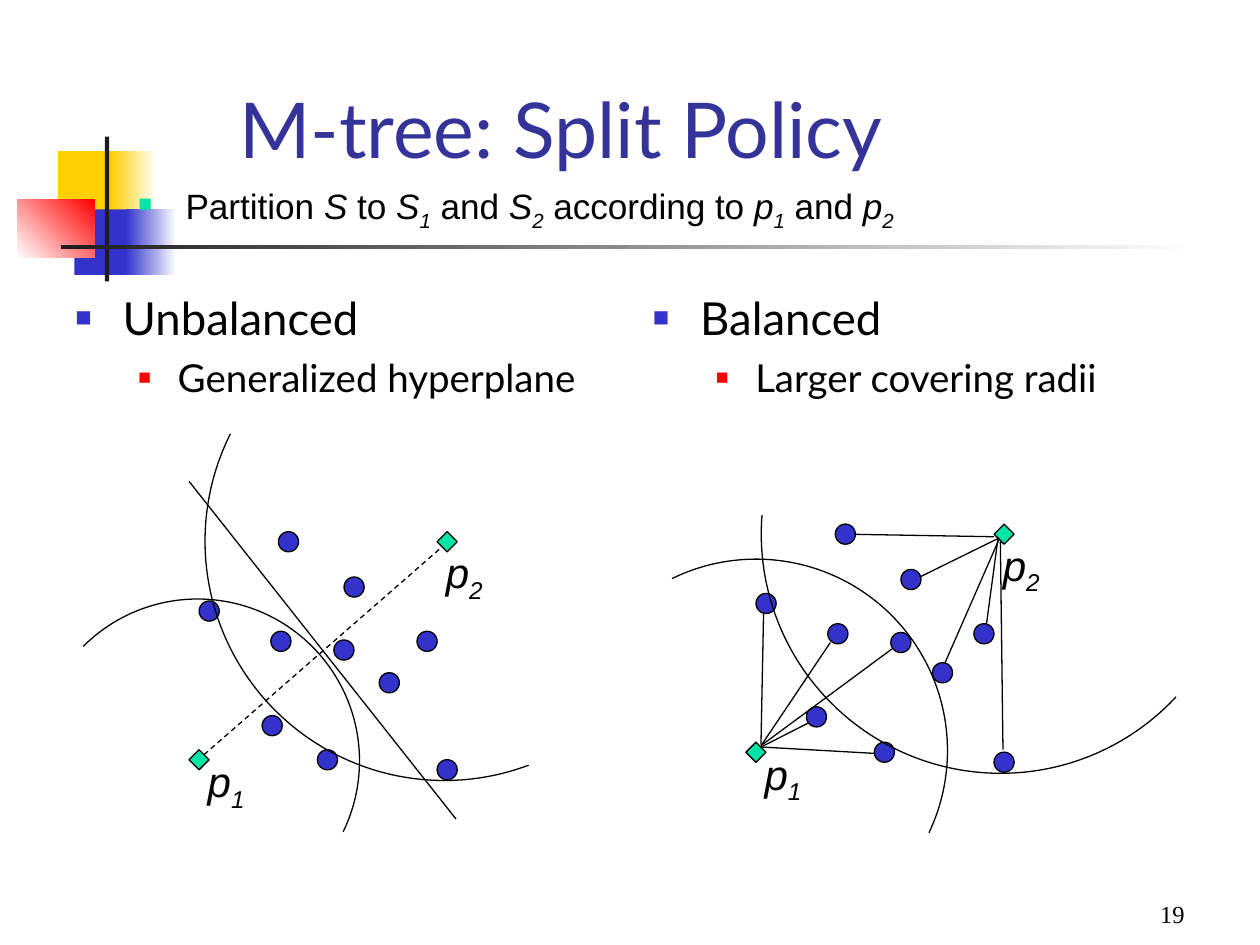
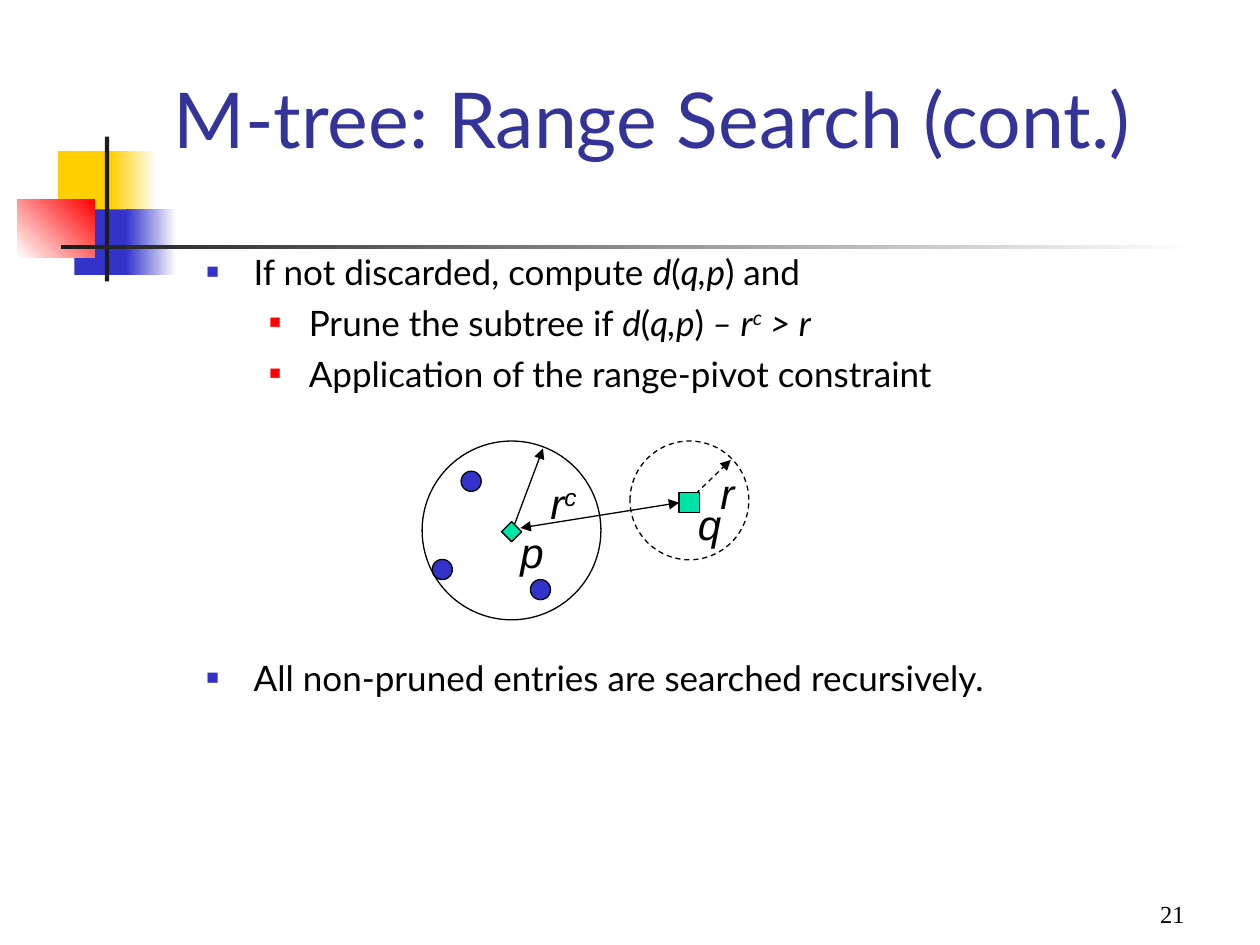
from dataclasses import dataclass

from lxml import etree
from pptx import Presentation
from pptx import util as u
from pptx.dml import color
from pptx.enum import dml, shapes, text
from pptx.oxml import ns


@dataclass(frozen=True)
class Theme:
    """Colours, fonts and type sizes shared by all pages."""

    black: str = "000000"
    white: str = "FFFFFF"
    ink: str = "1C1C1C"
    title: str = "333399"
    blue: str = "3333CC"
    yellow: str = "FFCF01"
    red: str = "FF0000"
    green: str = "00E4A8"
    sans: str = "Lato"
    plain: str = "Arial"
    serif: str = "Times New Roman"
    title_size: float = 44
    head_size: float = 26
    sub_size: float = 22
    body_size: float = 20
    lead_size: float = 20.1
    label_size: float = 24
    number_size: float = 14
    hairline: float = 0.75
    node: float = 11.5


THEME = Theme()
KIND = shapes.MSO_SHAPE
LEVELS = (
    {"margin": 27, "indent": -27, "color": THEME.blue, "size": 60},
    {"margin": 58.5, "indent": -22.5, "color": THEME.red, "size": 55},
)
LEAD_BULLET = {"margin": 27, "indent": -27, "color": THEME.green, "size": 65}
BASELINES = {"sub": "-25000", "sup": "30000"}


def rgb(value):
    """Turn a hex string into a colour."""
    return color.RGBColor.from_string(value)


def assign(target, **values):
    """Set every given attribute on the target."""
    for name, value in values.items():
        setattr(target, name, value)


def points(values):
    """Turn numbers into lengths in points."""
    return [u.Pt(value) for value in values]


def outline(line, dashed=False):
    """Give a line the thin black stroke."""
    line.color.rgb = rgb(THEME.black)
    line.width = u.Pt(THEME.hairline)
    if dashed:
        line.dash_style = dml.MSO_LINE.DASH


def add_figure(page, kind, box, fill=None, stroke=True, dashed=False):
    """Add a preset shape with a solid, gradient or empty fill."""
    figure = page.shapes.add_shape(kind, *points(box))
    figure.shadow.inherit = False
    if fill is None:
        figure.fill.background()
    elif isinstance(fill, str):
        figure.fill.solid()
        figure.fill.fore_color.rgb = rgb(fill)
    else:
        start, end, angle = fill
        figure.fill.gradient()
        figure.fill.gradient_angle = angle
        for stop, shade in zip(figure.fill.gradient_stops, (start, end)):
            stop.color.rgb = rgb(shade)
    if stroke:
        outline(figure.line, dashed)
    else:
        figure.line.fill.background()
    return figure


def add_line(page, origin, ends, dashed=False, arrows=()):
    """Add a straight connector between two points relative to the origin."""
    left, top = origin
    x1, y1, x2, y2 = ends
    line = page.shapes.add_connector(
        shapes.MSO_CONNECTOR.STRAIGHT, *points((left + x1, top + y1, left + x2, top + y2)))
    outline(line.line, dashed)
    stroke = line.line._get_or_add_ln()
    for arrow in arrows:
        etree.SubElement(stroke, ns.qn(f"a:{arrow}"), type="triangle")
    etree.SubElement(line._element.spPr, ns.qn("a:effectLst"))
    return line


def add_bullet(para, margin, indent, color, size):
    """Give a paragraph a hanging square bullet."""
    properties = para._p.get_or_add_pPr()
    properties.set("marL", str(u.Pt(margin)))
    properties.set("indent", str(u.Pt(indent)))
    shade = etree.SubElement(properties, ns.qn("a:buClr"))
    etree.SubElement(shade, ns.qn("a:srgbClr"), val=color)
    etree.SubElement(properties, ns.qn("a:buSzPct"), val=str(size * 1000))
    etree.SubElement(properties, ns.qn("a:buFont"), typeface=THEME.plain)
    etree.SubElement(properties, ns.qn("a:buChar"), char="■")


def fill_para(para, spans, font, size, shade=THEME.black, bullet=None, **spacing):
    """Write (text, style) spans; styles are plain, i, sub and sup."""
    assign(para, **spacing)
    if bullet:
        add_bullet(para, **bullet)
    for words, style in spans:
        span = para.add_run()
        span.text = words
        assign(span.font, name=font, size=u.Pt(size), italic=style != "")
        span.font.color.rgb = rgb(shade)
        if style in BASELINES:
            span._r.get_or_add_rPr().set("baseline", BASELINES[style])


def add_text(page, box, paras, **frame_format):
    """Add a text box holding one paragraph per format dict."""
    frame = page.shapes.add_textbox(*points(box)).text_frame
    assign(frame, **{"word_wrap": True, **frame_format})
    for index, para_format in enumerate(paras):
        para = frame.add_paragraph() if index else frame.paragraphs[0]
        fill_para(para, **para_format)


def add_label(page, origin, spot, spans, width):
    """Add an italic symbol beside a node."""
    box = (origin[0] + spot[0], origin[1] + spot[1], width, 36)
    add_text(page, box, [{"spans": spans, "font": THEME.plain, "size": THEME.label_size}],
             word_wrap=False, auto_size=text.MSO_AUTO_SIZE.SHAPE_TO_FIT_TEXT)


def add_node(page, origin, spot, kind=KIND.OVAL, fill=THEME.blue):
    """Add a small marker at a spot relative to the origin."""
    box = (origin[0] + spot[0], origin[1] + spot[1], THEME.node, THEME.node)
    return add_figure(page, kind, box, fill)


def add_arc(page, origin, centre, radius, start, end):
    """Add a clockwise arc around a centre, with angles in degrees."""
    box = (origin[0] + centre[0] - radius, origin[1] + centre[1] - radius, 2 * radius, 2 * radius)
    arc = add_figure(page, KIND.ARC, box)
    for index, angle in enumerate((start, end)):
        arc.adjustments[index] = angle * 0.6


def draw_frame(page, title, title_box, number):
    """Draw the corner blocks, rules, title and page number."""
    blocks = (
        ((33.1, 86.4, 34.5, 37.4), THEME.yellow),
        ((63.4, 86.4, 25.9, 37.4), (THEME.yellow, THEME.white, 0)),
        ((42.5, 119.7, 33.1, 37.4), THEME.blue),
        ((72, 119.7, 28.8, 37.4), (THEME.blue, THEME.white, 0)),
        ((10, 113.8, 44, 33.1), (THEME.white, THEME.red, 45)),
        ((59.9, 78, 2.5, 82.8), THEME.ink),
        ((34.8, 140, 648, 2.5), (THEME.ink, THEME.white, 0)),
    )
    for box, fill in blocks:
        add_figure(page, KIND.RECTANGLE, box, fill, stroke=False)
    add_text(page, (534, 498.2, 150, 36),
             [{"spans": [(number, "")], "font": THEME.serif, "size": THEME.number_size,
               "alignment": text.PP_ALIGN.RIGHT}], vertical_anchor=text.MSO_ANCHOR.BOTTOM)
    add_text(page, title_box,
             [{"spans": [(title, "")], "font": THEME.sans, "size": THEME.title_size,
               "shade": THEME.title}], vertical_anchor=text.MSO_ANCHOR.BOTTOM)


def draw_policy(page, box, heading, detail):
    """Write one split policy and its effect."""
    rows = ((heading, THEME.head_size, 6.5), (detail, THEME.sub_size, 5.5))
    add_text(page, box, [
        {"spans": [(words, "")], "font": THEME.sans, "size": size,
         "bullet": bullet, "space_before": u.Pt(gap)}
        for (words, size, gap), bullet in zip(rows, LEVELS)])


def draw_partition(page, origin, moved_objects, lines, arcs):
    """Draw the ten objects, two pivots, lines and covering arcs."""
    objects = (
        (88.6, 25.9), (46.8, 56.9), (73.4, 124.6), (141.8, 130.3),
        (130.3, 56.9), (51.1, 0), (5.8, 39.6), (82.8, 61.9), *moved_objects,
    )
    pivots = (("1", (0, 124.6), (3.6, 124.6)), ("2", (141.8, 0), (139.7, 5)))
    for spot in objects:
        add_node(page, origin, spot)
    for index, spot, label_spot in pivots:
        add_node(page, origin, spot, KIND.DIAMOND, THEME.green)
        add_label(page, origin, label_spot, [("p", "i"), (index, "sub")], 35.3)
    for ends, dashed in lines:
        add_line(page, origin, ends, dashed)
    for arc in arcs:
        add_arc(page, origin, *arc)


def draw_split_page(page):
    """Compare the unbalanced and balanced split policies."""
    draw_frame(page, "M-tree: Split Policy", (129.6, 13, 613.4, 90), "19")
    draw_policy(page, (36, 162, 318, 320.4), "Unbalanced", "Generalized hyperplane")
    draw_policy(page, (366, 162, 318, 320.4), "Balanced", "Larger covering radii")
    hyperplane = (((8.6, 127.4, 144.7, 8.6), True), ((0, -28.8, 152.6, 164.2), False))
    spokes = (
        (8.6, 126, 10.1, 50.4), (8.6, 126.7, 48.2, 67.7), (9.4, 126, 83.5, 71.3),
        (8.6, 127.4, 35.3, 113.8), (9.4, 127.4, 73.4, 131),
        (141.8, 7.2, 61.9, 5.8), (144.7, 7.9, 99.4, 30.2), (144, 8.6, 137.5, 56.9),
        (145.4, 10.1, 146.9, 128.9), (144.7, 8.6, 113.8, 79.2),
    )
    draw_partition(page, (108, 303.84), ((108.7, 80.6), (41.8, 105.1)), hyperplane,
                   (((5, 131), 92.5, 225, 26), ((146, 5.4), 136.8, 69.4, 206.6)))
    draw_partition(page, (426.24, 299.52), ((106.6, 79.2), (34.6, 104.4)),
                   [(ends, False) for ends in spokes],
                   (((5.8, 129.4), 109.4, 244, 25.4), ((145.6, 5.6), 136.8, 42.9, 184.5)))
    spans = [("Partition ", ""), ("S ", "i"), ("to ", ""), ("S", "i"), ("1", "sub"),
             (" and", ""), (" S", "i"), ("2", "sub"), (" according to", ""),
             (" p", "i"), ("1", "sub"), (" and ", ""), ("p", "i"), ("2", "sub")]
    add_text(page, (72, 104.4, 660.2, 36),
             [{"spans": spans, "font": THEME.plain, "size": THEME.lead_size,
               "bullet": LEAD_BULLET, "line_spacing": 0.8}])


def draw_search_steps(page, box):
    """Write the pruning steps, leaving room for the diagram."""
    distance = [("d", "i"), ("(", ""), ("q,p", "i")]
    steps = (
        (0, 5, [("If not discarded, compute ", ""), *distance, (") and", "")]),
        (1, 5, [("Prune the subtree if ", ""), *distance, (")", ""), (" – r", "i"),
                ("c", "sup"), (" > r", "i")]),
        (1, 5, [("Application of the range-pivot constraint", "")]),
        (0, 150, [("All non-pruned entries are searched recursively.", "")]),
    )
    add_text(page, box, [
        {"spans": spans, "font": THEME.sans, "size": THEME.body_size,
         "bullet": LEVELS[level], "space_before": u.Pt(gap)}
        for level, gap, spans in steps])


def draw_query(page, origin):
    """Draw the covering ball of p and the query ball of q."""
    left, top = origin
    add_line(page, origin, (51.8, 50.4, 69.1, 4.3), arrows=["tailEnd"])
    add_line(page, origin, (152.6, 33.8, 176.4, 10.8), dashed=True, arrows=["tailEnd"])
    add_figure(page, KIND.OVAL, (left + 118.8, top, 67.9, 67.9), dashed=True)
    query = add_node(page, origin, (146.9, 29.5), KIND.RECTANGLE, THEME.green)
    add_node(page, origin, (45.4, 46.1), KIND.DIAMOND, THEME.green)
    add_figure(page, KIND.OVAL, (left, top, 102.2, 102.2))
    labels = (
        ((150.5, 29.5), [("q", "i")], 27.4),
        ((49, 45.4), [("p", "i")], 27.4),
        ((66.2, 17.3), [("r", "i"), ("c", "sup")], 29.5),
        ((163.4, 11.5), [("r", "i")], 22.3),
    )
    for spot, spans, width in labels:
        add_label(page, origin, spot, spans, width)
    for spot in ((22.3, 17.3), (61.9, 79.2), (5.8, 67.7)):
        add_node(page, origin, spot)
    distance = add_line(page, origin, (56.2, 49.7, 146.9, 36), arrows=["headEnd", "tailEnd"])
    distance.end_connect(query, 1)


def draw_search_page(page):
    """Explain how range search prunes subtrees."""
    draw_frame(page, "M-tree: Range Search (cont.)", (92.2, 29.5, 613.4, 67.7), "21")
    draw_search_steps(page, (110.9, 139.7, 588.2, 282.2))
    draw_query(page, (241.2, 252))


def main():
    """Build and save the deck."""
    deck = Presentation()
    assign(deck, slide_width=u.Pt(720), slide_height=u.Pt(540))
    for draw_page in (draw_split_page, draw_search_page):
        draw_page(deck.slides.add_slide(deck.slide_layouts[6]))
    deck.save("out.pptx")


if __name__ == "__main__":
    main()
